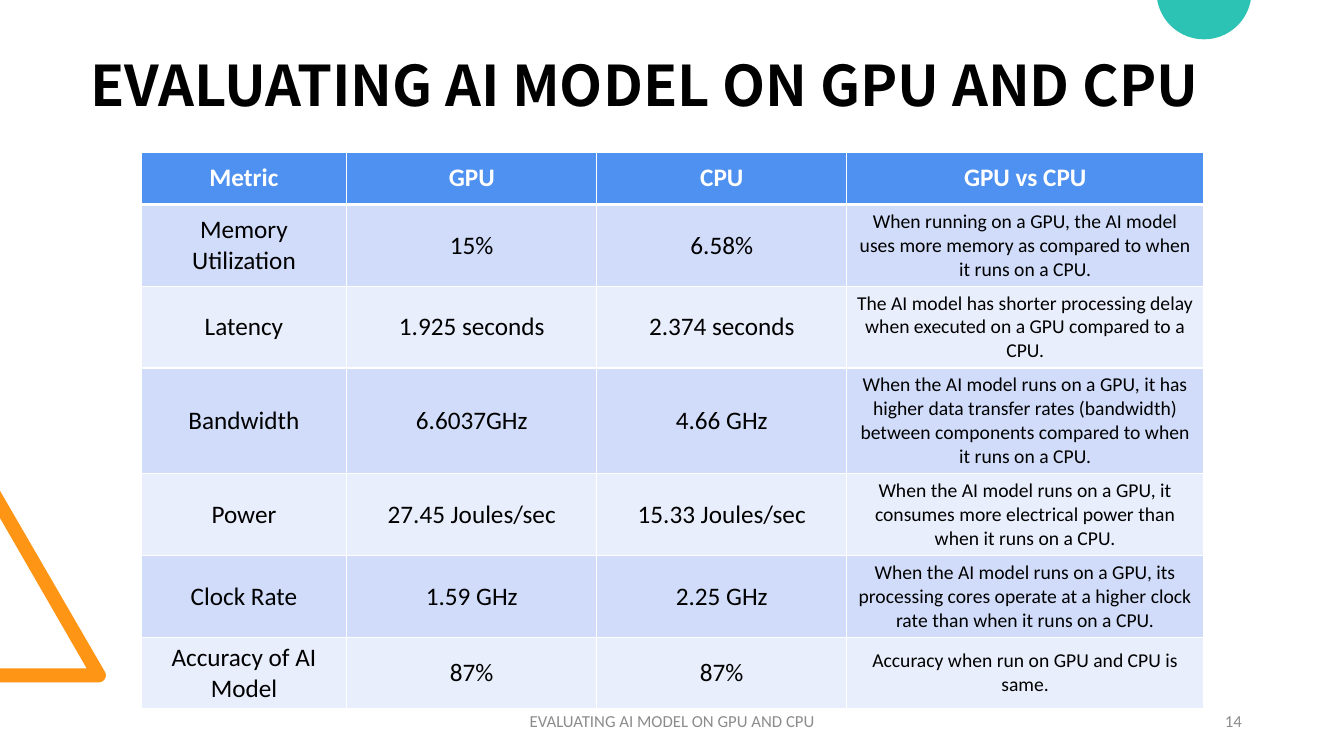
from math import cos, radians, sin

from lxml.etree import SubElement
from pptx import Presentation
from pptx.dml.color import RGBColor
from pptx.enum.text import MSO_ANCHOR as ANCHOR, PP_ALIGN as ALIGN
from pptx.oxml import parse_xml
from pptx.oxml.ns import nsdecls, qn
from pptx.util import Pt


def rgb(color):
    return RGBColor.from_string(color)


def set_text(tf, text, size, color, align, font="Calibri", bold=False):
    """Put one formatted paragraph in a text frame and return it."""
    tf.word_wrap = True
    tf.vertical_anchor = ANCHOR.MIDDLE
    p = tf.paragraphs[0]
    p.text = text
    p.alignment = align
    p.font.name, p.font.size, p.font.bold = font, Pt(size), bold
    p.font.color.rgb = rgb(color)
    return p


prs = Presentation()
prs.slide_width, prs.slide_height = Pt(960), Pt(540)
s = prs.slides.add_slide(prs.slide_layouts[6])

# Decorations: straight corners, then an arc (center x, center y, radius, from, to)
decorations = [
    ("FF9514", [(0, 487.4), (0, 477.4), (61.9, 477.4), (0, 370.1), (0, 350.6)],
     (70.6, 482.4, 5, -30, 90)),
    ("2CC3B4", [], (860, -5.8, 33.9, 9.85, 170.15)),
]
ARC_STEPS = 48
for color, corners, (cx, cy, radius, start, end) in decorations:
    angles = [radians(start + (end - start) * i / ARC_STEPS) for i in range(ARC_STEPS + 1)]
    points = corners + [(cx + radius * cos(a), cy + radius * sin(a)) for a in angles]
    points = [(Pt(x), Pt(y)) for x, y in points]
    builder = s.shapes.build_freeform(*points[0])
    builder.add_line_segments(points[1:], close=True)
    sp = builder.convert_to_shape()
    sp.shadow.inherit = False
    sp.fill.solid()
    sp.fill.fore_color.rgb = rgb(color)
    sp.line.fill.background()

# Title, footer and slide number
TITLE = "EVALUATING AI MODEL ON GPU AND CPU"
title = s.shapes.add_textbox(Pt(57.6), Pt(18), Pt(844.6), Pt(90.7))
p = set_text(title.text_frame, TITLE, 40, "000000", ALIGN.LEFT, "Noto Sans CJK TC", True)
p.line_spacing = 0.9

for text, left, width, align in [
    (TITLE, 318.2, 324, ALIGN.CENTER),
    ("14", 678.2, 216, ALIGN.RIGHT),
]:
    box = s.shapes.add_textbox(Pt(left), Pt(500.4), Pt(width), Pt(28.8))
    set_text(box.text_frame, text, 12, "8C8C8C", align)

# Comparison table
rows = [
    ("Metric", "GPU", "CPU", "GPU vs CPU"),
    ("Memory Utilization", "15%", "6.58%",
     "When running on a GPU, the AI model uses more memory as compared to when it runs on a CPU."),
    ("Latency", "1.925 seconds", "2.374 seconds",
     "The AI model has shorter processing delay when executed on a GPU compared to a CPU."),
    ("Bandwidth", "6.6037GHz", "4.66 GHz",
     "When the AI model runs on a GPU, it has higher data transfer rates (bandwidth) "
     "between components compared to when it runs on a CPU."),
    ("Power", "27.45 Joules/sec", "15.33 Joules/sec",
     "When the AI model runs on a GPU, it consumes more electrical power than when it runs on a CPU."),
    ("Clock Rate", "1.59 GHz", "2.25 GHz",
     "When the AI model runs on a GPU, its processing cores operate at a higher clock rate "
     "than when it runs on a CPU."),
    ("Accuracy of AI Model", "87%", "87%", "Accuracy when run on GPU and CPU is same."),
]
widths = [146.9, 178.6, 178.6, 254.9]
heights = [37.4, 58.4, 58.4, 75.6, 58.4, 58.4, 51.1]

table = s.shapes.add_table(len(rows), len(widths), Pt(100.8), Pt(108.7),
                           Pt(sum(widths)), Pt(sum(heights))).table
for column, width in zip(table.columns, widths):
    column.width = Pt(width)
for r, (row, height) in enumerate(zip(rows, heights)):
    table.rows[r].height = Pt(height)
    header = r == 0
    fill = "4E91F0" if header else ("E9EEFC", "D0DCF9")[r % 2]
    borders = {"lnL": 1, "lnR": 1, "lnT": 3 if r == 1 else 1, "lnB": 3 if header else 1}
    for c, text in enumerate(row):
        cell = table.cell(r, c)
        size = 14 if c == 3 and not header else 18
        set_text(cell.text_frame, text, size, "FFFFFF" if header else "000000",
                 ALIGN.CENTER, bold=header)
        cell.vertical_anchor = ANCHOR.MIDDLE
        cell.fill.solid()
        cell.fill.fore_color.rgb = rgb(fill)
        tcPr = cell._tc.get_or_add_tcPr()
        for i, (side, weight) in enumerate(borders.items()):
            ln = parse_xml(f'<a:{side} {nsdecls("a")} w="{Pt(weight)}"/>')
            SubElement(SubElement(ln, qn("a:solidFill")), qn("a:srgbClr"), val="FFFFFF")
            tcPr.insert(i, ln)

# Table text frames carry their anchor on the cell
for body in table._tbl.iter(qn("a:bodyPr")):
    body.attrib.clear()

prs.save("out.pptx")
